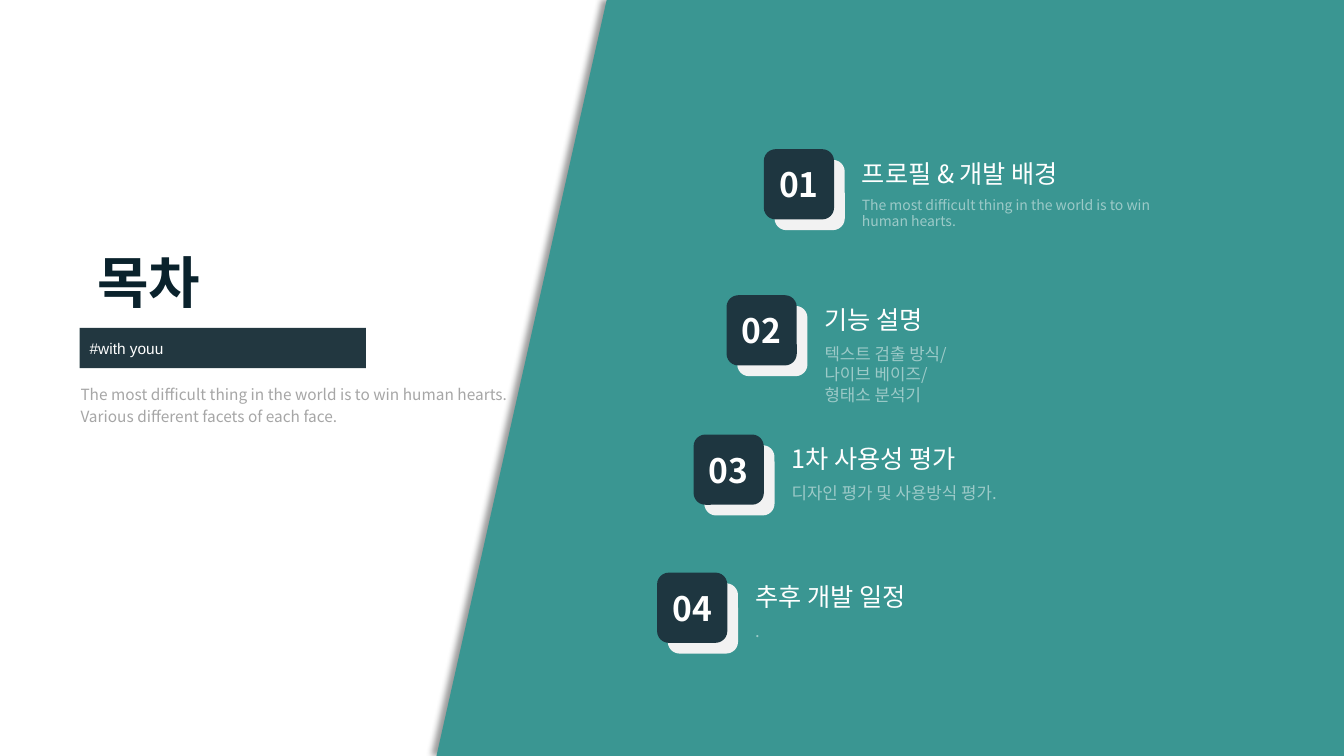
from lxml import etree
from pptx import Presentation
from pptx.dml.color import RGBColor
from pptx.enum.shapes import MSO_SHAPE
from pptx.enum.text import MSO_ANCHOR, PP_ALIGN
from pptx.oxml import parse_xml
from pptx.oxml.ns import qn
from pptx.util import Cm, Pt

RECT, ROUNDED = MSO_SHAPE.RECTANGLE, MSO_SHAPE.ROUNDED_RECTANGLE
MIDDLE, CENTER = MSO_ANCHOR.MIDDLE, PP_ALIGN.CENTER
A_NS = "http://schemas.openxmlformats.org/drawingml/2006/main"
FONT = "Noto Sans CJK KR"
NBSP = chr(160)
TEAL, NAVY, INK, PALE, WHITE = "3A9692", "1E3640", "0A222C", "F2F2F2", "FFFFFF"

prs = Presentation()
prs.slide_width, prs.slide_height = Cm(33.87), Cm(19.05)
s = prs.slides.add_slide(prs.slide_layouts[6])


def paint(fill, color, alpha=100):
    fill.solid()
    fill.fore_color.rgb = RGBColor.from_string(color)
    if alpha < 100:
        clr = fill._xPr.find(qn("a:solidFill"))[0]
        etree.SubElement(clr, qn("a:alpha")).set("val", str(alpha * 1000))


def write(sp, text, size, color, font=FONT, bold=False, alpha=100, line=None, align=None):
    tf = sp.text_frame
    tf.word_wrap = True
    for i, content in enumerate(text.split("\n")):
        p = tf.add_paragraph() if i else tf.paragraphs[0]
        p.alignment = align
        if line:
            p.line_spacing = Pt(line)
        r = p.add_run()
        r.text = content
        r.font.size, r.font.bold, r.font.name = Pt(size), bold, font
        paint(r.font.fill, color, alpha)
        etree.SubElement(r.font._element, qn("a:ea")).set("typeface", font)


# Slanted panel with a shadow on its left edge
builder = s.shapes.build_freeform(Cm(15.29), 0)
builder.add_line_segments(
    [(Cm(33.87), 0), (Cm(33.87), Cm(19.05)), (Cm(11), Cm(19.05))], close=True)
panel = builder.convert_to_shape()
paint(panel.fill, TEAL)
panel.line.fill.background()
panel._element.spPr.append(parse_xml(
    f'<a:effectLst xmlns:a="{A_NS}"><a:outerShdw blurRad="50800" dist="38100" '
    'dir="10800000" algn="r" rotWithShape="0"><a:srgbClr val="000000">'
    '<a:alpha val="40000"/></a:srgbClr></a:outerShdw></a:effectLst>'))

# Heading, tag bar and introduction
bar = s.shapes.add_shape(RECT, Cm(2.01), Cm(8.26), Cm(7.21), Cm(1.02))
bar.shadow.inherit = False
paint(bar.fill, INK, 90)
bar.line.fill.background()

heading = s.shapes.add_textbox(Cm(2.21), Cm(6.1), Cm(3.35), Cm(1.96))
write(heading, "목차", 40, INK, bold=True, line=48.5)
tag = s.shapes.add_textbox(Cm(2.01), Cm(8.41), Cm(7.11), Cm(0.74))
write(tag, "#with youu", 11, WHITE, font="Arial")

# Each sentence stays on one line
sentences = ["The most difficult thing in the world is to win human hearts.",
             "Various different facets of each face."]
intro = s.shapes.add_textbox(Cm(1.78), Cm(9.47), Cm(15.88), Cm(1.35))
write(intro, " ".join(t.replace(" ", NBSP) for t in sentences), 11, "A6A6A6", line=16)

# Contents: tile left and top, title, title width, detail, detail size, detail line
items = [
    (19.25, 3.76, "프로필 & 개발 배경", 6.65, sentences[0], 10, 11.5),
    (18.31, 7.44, "기능 설명", 3.3,
     "텍스트 검출 방식/\n나이브 베이즈/\n형태소 분석기", 12, 14.6),
    (17.48, 10.95, "1차 사용성 평가", 5.38, "디자인 평가 및 사용방식 평가.", 12, 14.6),
    (16.56, 14.43, "추후 개발 일정", 6.73, ".", 12, 14.6),
]
for number, (x, y, title, width, detail, size, line) in enumerate(items, 1):
    for offset, color in ((0.27, PALE), (0, NAVY)):
        tile = s.shapes.add_shape(
            ROUNDED, Cm(x + offset), Cm(y + offset), Cm(1.77), Cm(1.77))
        tile.shadow.inherit = False
        paint(tile.fill, color)
        tile.line.fill.background()
    tile.text_frame.vertical_anchor = MIDDLE
    write(tile, f"{number:02}", 24, WHITE, bold=True, align=CENTER)

    title_box = s.shapes.add_textbox(Cm(x + 2.22), Cm(y + 0.09), Cm(width), Cm(1.02))
    write(title_box, title, 18, WHITE, line=22)
    detail_width = 7.98 if number == 1 else 8.79
    detail_height = 0.25 + line * 0.0353 * (2 if number == 1 else detail.count("\n") + 1)
    detail_box = s.shapes.add_textbox(
        Cm(x + 2.22), Cm(y + 1.09), Cm(detail_width), Cm(round(detail_height, 2)))
    write(detail_box, detail, size, WHITE, alpha=50, line=line)

prs.save("out.pptx")
